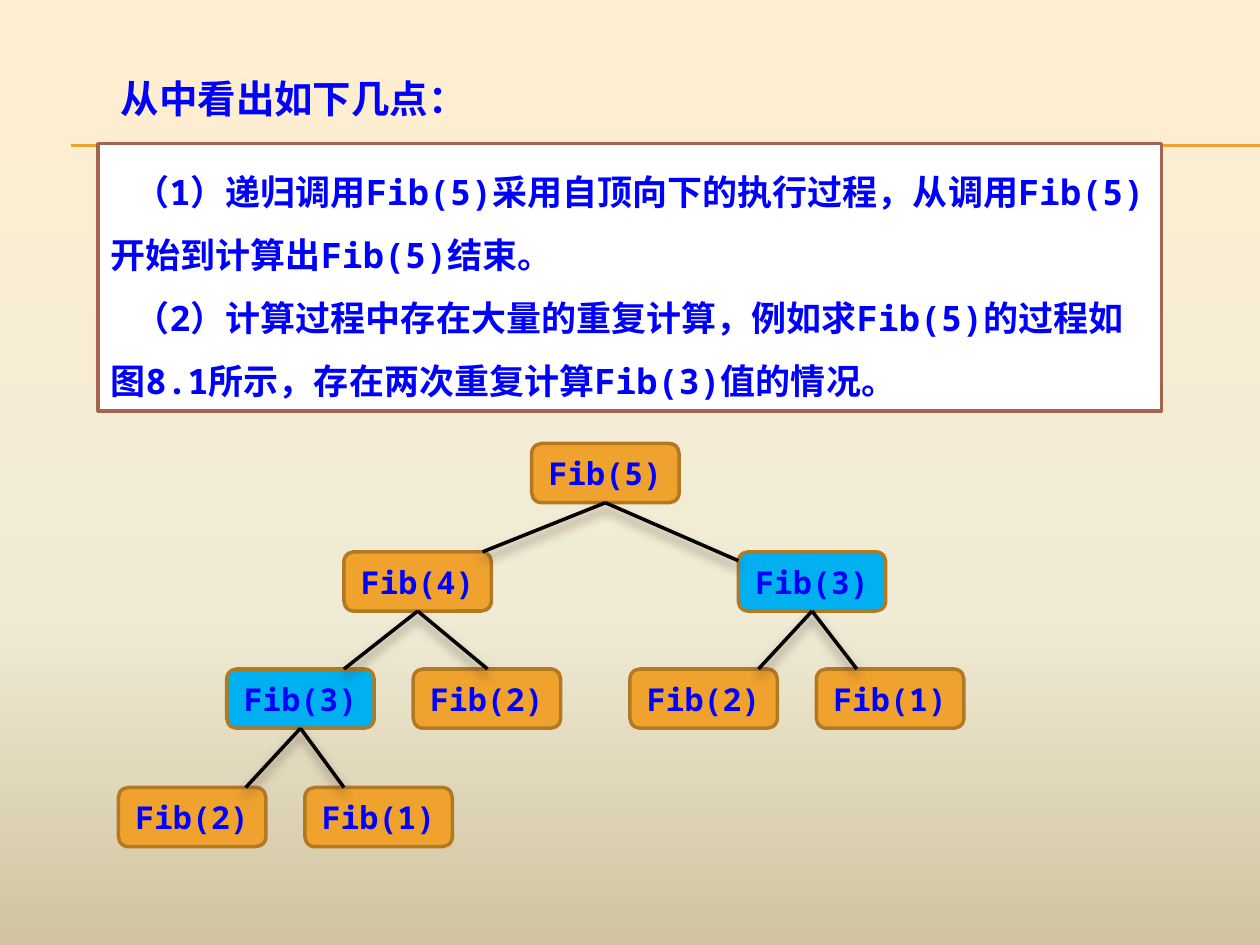
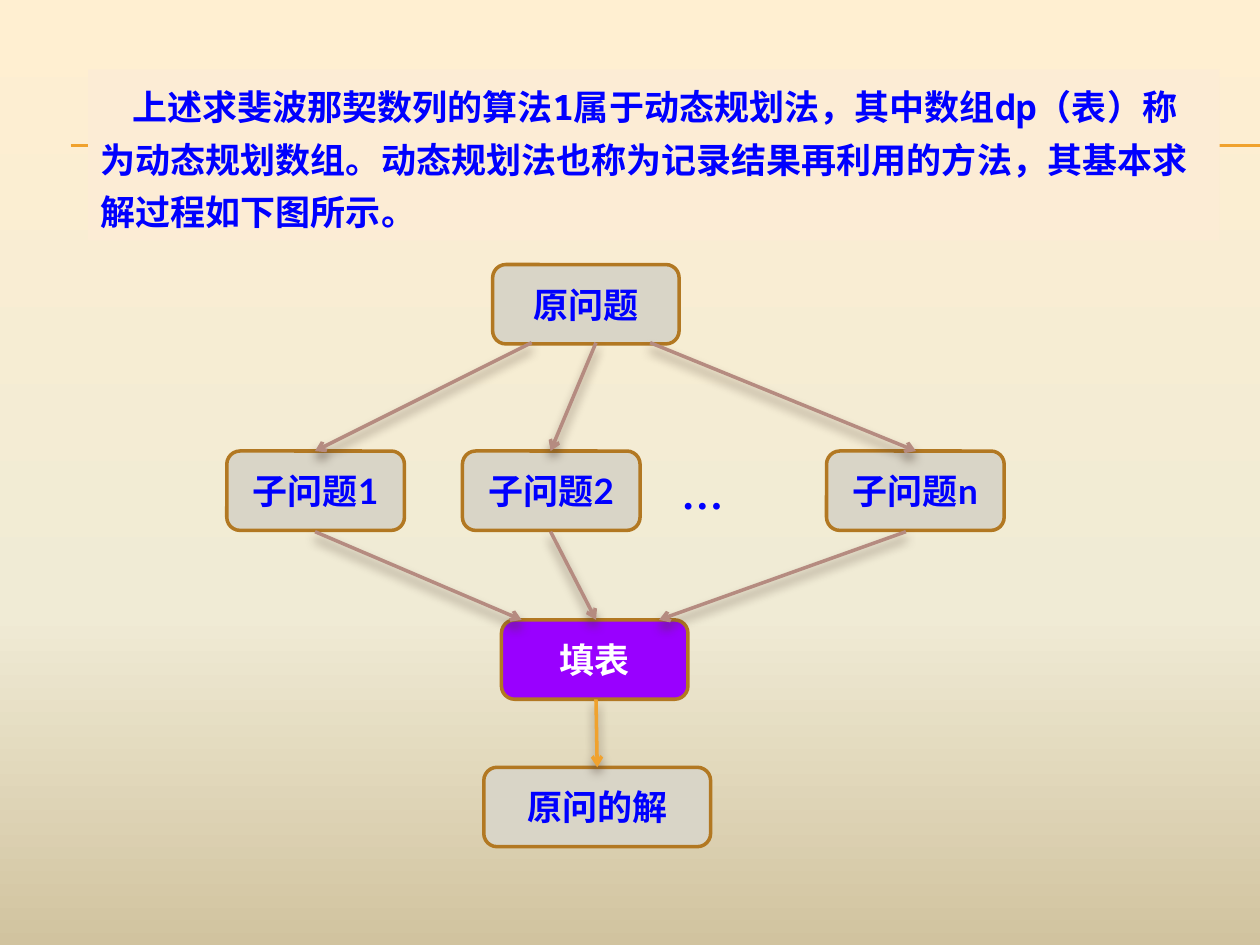
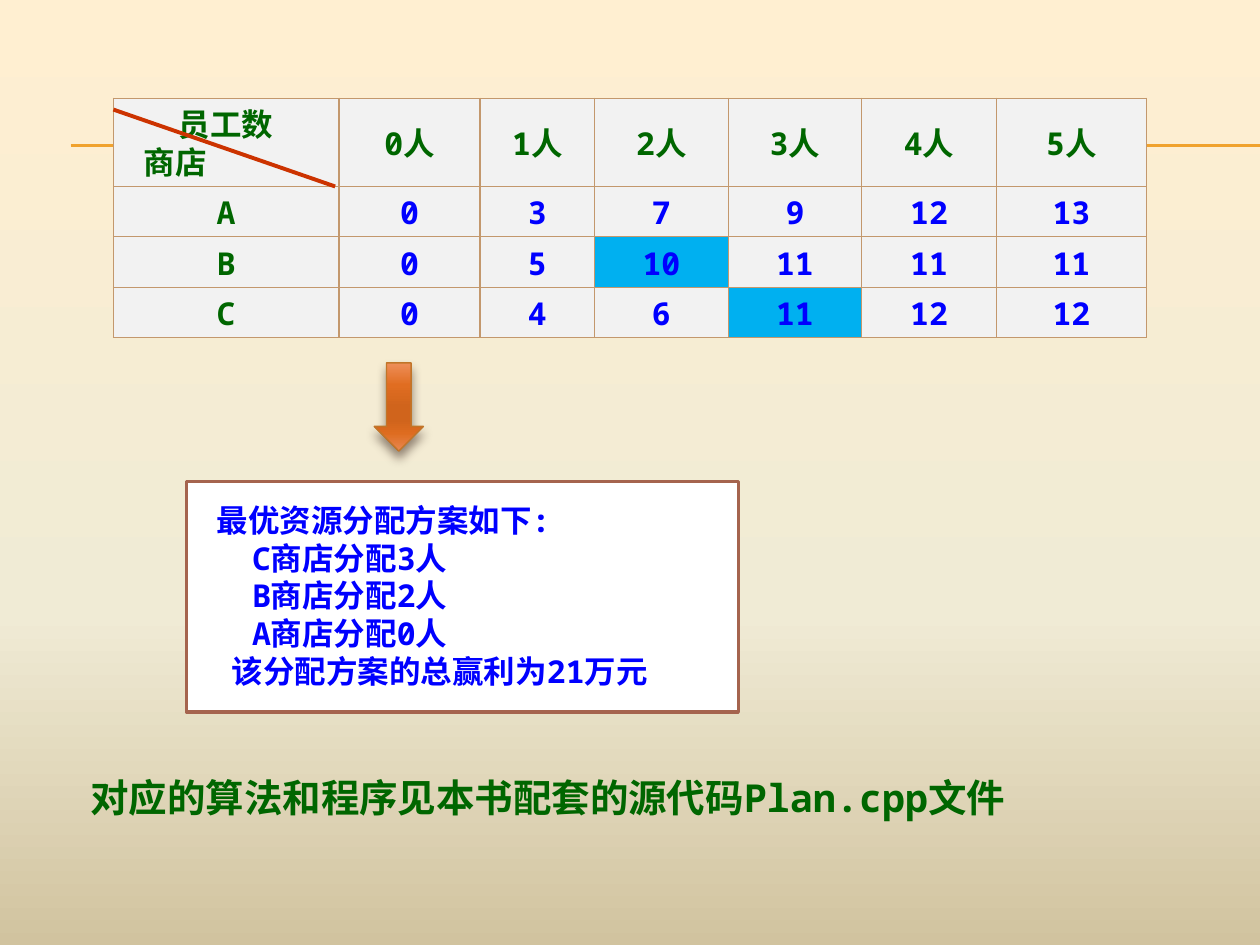
from lxml.etree import SubElement
from pptx import Presentation
from pptx.dml.color import RGBColor
from pptx.enum.shapes import MSO_CONNECTOR, MSO_SHAPE
from pptx.enum.text import MSO_ANCHOR, PP_ALIGN
from pptx.oxml.ns import qn
from pptx.util import Inches, Pt

HUES = {
    "gold": "F0A22E", "brown": "B27822", "rust": "A5644E", "rose": "B58B80",
    "blue": "0000FF", "sky": "00B0F0", "green": "006600", "red": "CC3300",
    "violet": "9900FF", "stone": "D9D5C7", "cream": "FCECD5", "pale": "F2F2F2",
    "tan": "C3986D", "shade": "4E3B30", "ochre": "C17529",
    "white": "FFFFFF", "black": "000000",
}
SKY = [(0, "FFEFD1"), (65, "F0EBD5"), (100, "D1C39F")]
FLAME = [(0, "EE8F5B"), (25, "E06D21"), (50, "D0641C"),
         (65, "D0641C"), (80, "DE6C20"), (100, "E88852")]
MONO, HAN, LATO, SERIF = "Noto Sans Mono", "Noto Sans CJK SC", "Lato", "Times New Roman"
MID = {"align": PP_ALIGN.CENTER, "anchor": MSO_ANCHOR.MIDDLE}


def hue(name):
    return RGBColor.from_string(HUES[name])


def blend(fill, root, stops):
    fill.gradient()
    fill.gradient_angle = 270
    rows = root.find(".//" + qn("a:gsLst"))
    for old in list(rows):
        rows.remove(old)
    for pos, tone in stops:
        stop = SubElement(rows, qn("a:gs"), pos=str(pos * 1000))
        SubElement(stop, qn("a:srgbClr"), val=tone)


class Deck:
    def __init__(self):
        self.show = Presentation()
        self.show.slide_width, self.show.slide_height = Inches(10), Inches(7.5)
        self.unit = self.show.slide_width / 100
        master = self.show.slide_master
        blend(master.background.fill, master._element, SKY)

    def at(self, *cells):
        return [round(cell * self.unit) for cell in cells]

    def page(self):
        self.slide = self.show.slides.add_slide(self.show.slide_layouts[6])
        self.shapes = self.slide.shapes
        for row in (11.5, 11.6):
            self.line((5.6, row), (100, row), "gold", 0.75, shade=False)

    def glow(self, effects):
        cast = SubElement(effects, qn("a:outerShdw"), blurRad=str(Pt(6)),
                          dist=str(Pt(4)), dir="5400000", rotWithShape="0")
        tone = SubElement(cast, qn("a:srgbClr"), val=HUES["shade"])
        SubElement(tone, qn("a:alpha"), val="60000")

    def line(self, start, end, color, width=2, head=False, shade=True):
        link = self.shapes.add_connector(MSO_CONNECTOR.STRAIGHT, *self.at(*start, *end))
        link.line.color.rgb = hue(color)
        link.line.width = Pt(width)
        frame = link._element.spPr
        if head:
            SubElement(frame.find(qn("a:ln")), qn("a:tailEnd"), type="arrow")
        effects = SubElement(frame, qn("a:effectLst"))
        if shade:
            self.glow(effects)

    def words(self, frame, lines, size=18, font=MONO, color="blue",
              align=PP_ALIGN.LEFT, anchor=MSO_ANCHOR.TOP, pitch=None):
        frame.word_wrap = True
        frame.vertical_anchor = anchor
        for i, (indent, label) in enumerate(lines):
            para = frame.paragraphs[0] if i == 0 else frame.add_paragraph()
            para.alignment = align
            if pitch:
                para.line_spacing = Pt(pitch)
            if indent:
                para._p.get_or_add_pPr().set("indent", str(Inches(indent)))
            run = para.add_run()
            run.text = label
            for key, value in {"size": Pt(size), "name": font, "bold": True}.items():
                setattr(run.font, key, value)
            run.font.color.rgb = hue(color)
            SubElement(run._r.rPr, qn("a:ea"), typeface=font)

    def text(self, box, label, **style):
        self.words(self.shapes.add_textbox(*self.at(*box)).text_frame, [(0, label)], **style)

    def shape(self, kind, box, fill, edge=None, width=2):
        item = self.shapes.add_shape(kind, *self.at(*box))
        item.shadow.inherit = False
        if isinstance(fill, list):
            blend(item.fill, item._element, fill)
        else:
            item.fill.solid()
            item.fill.fore_color.rgb = hue(fill)
        if edge:
            item.line.color.rgb = hue(edge)
            item.line.width = Pt(width)
        else:
            item.line.fill.background()
        return item

    def panel(self, box, lines, fill="white", edge="rust", pads=None, **style):
        frame = self.shape(MSO_SHAPE.RECTANGLE, box, fill, edge).text_frame
        for side, pad in (pads or {}).items():
            setattr(frame, "margin_" + side, Inches(pad))
        self.words(frame, lines, **style)

    def node(self, box, label, fill, **style):
        item = self.shape(MSO_SHAPE.ROUNDED_RECTANGLE, box, fill, "brown")
        self.words(item.text_frame, [(0, label)], **MID, **style)

    def arrow(self, box):
        item = self.shape(MSO_SHAPE.DOWN_ARROW, box, FLAME, "ochre", 0.79)
        self.glow(item._element.spPr.find(qn("a:effectLst")))

    def cell(self, cell, lines, fill, **style):
        props = cell._tc.get_or_add_tcPr()
        for side in "LRTB":
            edge = SubElement(props, qn("a:ln" + side), w=str(Pt(0.79)))
            paint = SubElement(edge, qn("a:solidFill"))
            SubElement(paint, qn("a:srgbClr"), val=HUES["tan"])
        cell.fill.solid()
        cell.fill.fore_color.rgb = hue(fill)
        cell.margin_top, cell.margin_bottom = Inches(0.08), Inches(0.02)
        anchor = style.pop("anchor", MSO_ANCHOR.TOP)
        self.words(cell.text_frame, lines, pitch=21.5, **style)
        cell.vertical_anchor = anchor

    def table(self, box, wide, high, rows, corner, marks):
        grid = self.shapes.add_table(len(rows), len(wide), *self.at(*box)).table
        grid.first_row = grid.horz_banding = False
        for col, size in zip(grid.columns, self.at(*wide)):
            col.width = size
        for row, size in zip(grid.rows, self.at(*high)):
            row.height = size
        for r, row in enumerate(rows):
            for c, label in enumerate(row):
                look = {"color": "blue" if r and c else "green"}
                if r or c:
                    look["align"] = PP_ALIGN.CENTER
                if c and not r:
                    look["anchor"] = MSO_ANCHOR.MIDDLE
                lines = [(0, label)] if r or c else corner
                self.cell(grid.cell(r, c), lines, "sky" if (r, c) in marks else "pale", **look)


def tree(deck):
    deck.page()
    deck.text((8.6, 5.5, 57.8, 4.7), "从中看出如下几点：", size=22, font=HAN)
    deck.panel((7.8, 11.4, 84.4, 21.2), [
        (0.19, "（1）递归调用Fib(5)采用自顶向下的执行过程，从调用Fib(5)开始到计算出Fib(5)结束。"),
        (0.19, "（2）计算过程中存在大量的重复计算，例如求Fib(5)的过程如图8.1所示，存在两次重复计算Fib(3)值的情况。"),
    ], size=20, pitch=36)
    levels = (35.2, 43.8, 53.1, 62.5)
    wide, high = 11.7, 4.7
    nodes = [
        (5, 42.2, 0, None, None), (4, 27.3, 1, 0, (11, 0)), (3, 58.6, 1, 0, (0, 0.7)),
        (3, 18, 2, 1, (9.3, 0)), (2, 32.8, 2, 1, (5.9, 0)),
        (2, 50, 2, 2, (10.2, 0)), (1, 64.8, 2, 2, (3.2, 0)),
        (2, 9.4, 3, 3, (10.1, 0)), (1, 24.2, 3, 3, (3.1, 0)),
    ]
    for n, col, level, _, _ in nodes:
        deck.node((col, levels[level], wide, high), f"Fib({n})", "sky" if n == 3 else "gold")
    for _, col, level, up, joint in nodes[1:]:
        top = nodes[up]
        deck.line((top[1] + wide / 2, levels[top[2]] + high),
                  (col + joint[0], levels[level] + joint[1]), "black")


def flow(deck):
    deck.page()
    deck.panel((7, 5.5, 89.8, 13.6), [
        (0.25, "上述求斐波那契数列的算法1属于动态规划法，其中数组dp（表）称为动态规划数组。"
               "动态规划法也称为记录结果再利用的方法，其基本求解过程如下图所示。"),
    ], fill="cream", edge=None, size=20, pitch=30)
    high = 6.3
    for label, col, row, wide, fill, color in [
        ("原问题", 39.1, 21, 14.8, "stone", "blue"),
        ("原问的解", 38.4, 60.9, 18, "stone", "blue"),
        ("子问题1", 18, 35.8, 14.1, "stone", "blue"),
        ("子问题2", 36.7, 35.8, 14.1, "stone", "blue"),
        ("子问题n", 65.6, 35.8, 14.1, "stone", "blue"),
        ("填表", 39.8, 49.2, 14.8, "violet", "white"),
    ]:
        deck.node((col, row, wide, high), label, fill, size=20, font=LATO, color=color)
    deck.text((53.1, 36.6, 10.9, 5), "…", size=24, font=SERIF)
    for start, tip, leave, end in [(42.2, 25, 25, 41.4), (47.3, 43.7, 43.7, 47.3),
                                   (51.6, 72.7, 71.9, 52.3)]:
        deck.line((start, 27.2), (tip, 35.8), "rose", head=True)
        deck.line((leave, 42.2), (end, 49.2), "rose", head=True)
    deck.line((47.3, 55.5), (47.4, 60.9), "gold", head=True)


def plan(deck):
    deck.page()
    deck.panel((14.8, 38.2, 43.8, 18.3), [
        (0, "最优资源分配方案如下:"),
        *[(0.28, f"{shop}商店分配{n}人") for shop, n in (("C", 3), ("B", 2), ("A", 0))],
        (0.12, "该分配方案的总赢利为21万元"),
    ], pads={"left": 0.24, "top": 0.16, "bottom": 0.16}, pitch=21.5)
    deck.arrow((29.7, 28.8, 3.9, 7))
    gains = {"A": (0, 3, 7, 9, 12, 13), "B": (0, 5, 10, 11, 11, 11), "C": (0, 4, 6, 11, 12, 12)}
    rows = [["", *[f"{n}人" for n in range(6)]]]
    rows += [[shop, *map(str, gain)] for shop, gain in gains.items()]
    deck.table((9, 7.8, 81.9, 19), (17.9, 11.2, 9.1, 10.6, 10.6, 10.7, 11.9),
               (7, 4, 4, 4), rows, [(0.42, "员工数"), (0.14, "商店")], {(2, 3), (3, 4)})
    deck.line((9, 8.7), (26.6, 14.8), "red", 2.25, shade=False)
    deck.text((6.2, 60.9, 81.3, 4.7), "对应的算法和程序见本书配套的源代码Plan.cpp文件",
              size=22, color="green")


def main():
    deck = Deck()
    for build in (tree, flow, plan):
        build(deck)
    deck.show.save("out.pptx")


if __name__ == "__main__":
    main()
